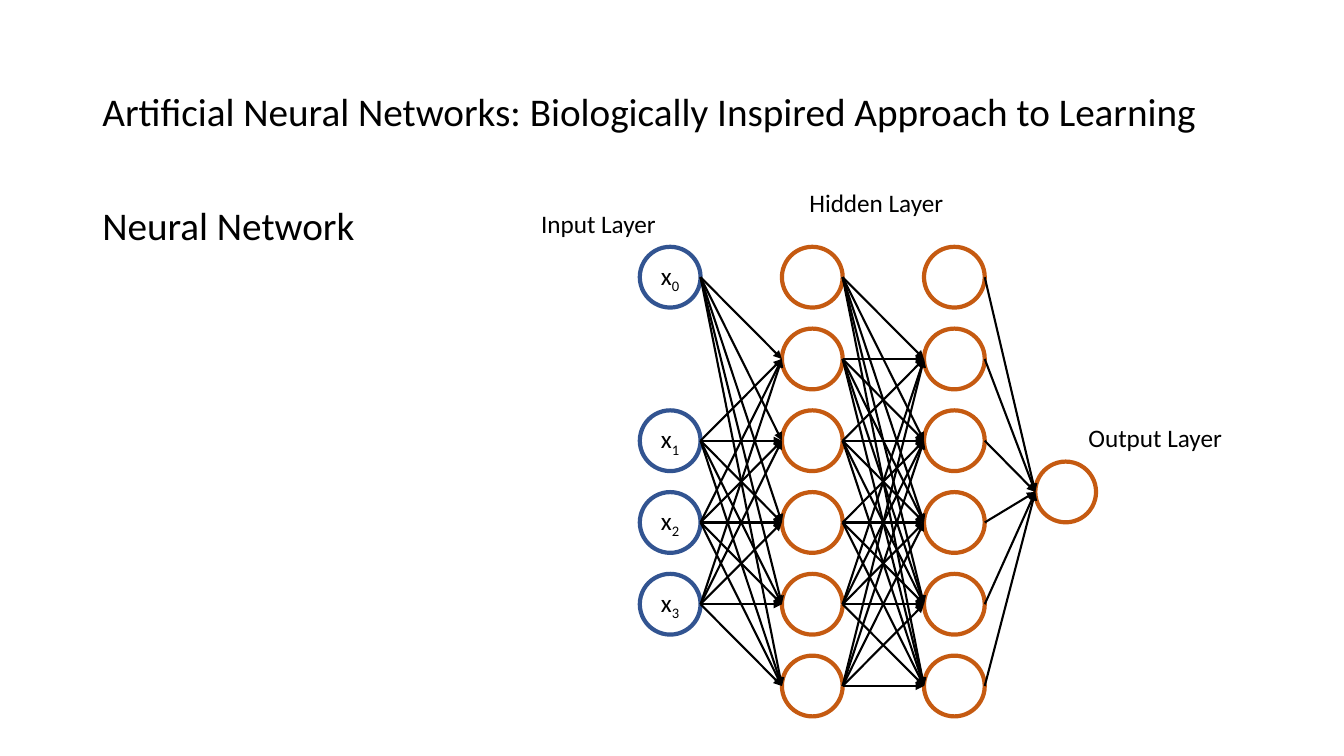
from lxml import etree
from pptx import Presentation
from pptx.dml.color import RGBColor
from pptx.enum.shapes import MSO_CONNECTOR, MSO_SHAPE
from pptx.enum.text import MSO_ANCHOR, MSO_AUTO_SIZE, PP_ALIGN
from pptx.oxml.ns import qn
from pptx.util import Pt

OVAL = MSO_SHAPE.OVAL
LINE = MSO_CONNECTOR.STRAIGHT
MIDDLE = MSO_ANCHOR.MIDDLE
LEFT, CENTER = PP_ALIGN.LEFT, PP_ALIGN.CENTER
NO_FIT = MSO_AUTO_SIZE.NONE

COLORS = {"text": "000000", "input": "325491", "neuron": "C55A11"}
FONT = "Calibri"
SIZE = 43.4
TOP, STEP = 198, 58.4
INPUT_X, FIRST_X, SECOND_X, OUTPUT_X = 457, 558.5, 660, 739.5
ROWS = [TOP + STEP * row for row in range(6)]
OUTPUT_Y = 351.4
INPUT_ROWS = (0, 2, 3, 4)


def color(name):
    return RGBColor.from_string(COLORS[name])


def style(para, size):
    for run in para.runs:
        run.font.name = FONT
        run.font.size = Pt(size)
        run.font.color.rgb = color("text")


def place(shape, left, top, width, height):
    shape.left, shape.top = Pt(left), Pt(top)
    shape.width, shape.height = Pt(width), Pt(height)


def add_title(slide, text):
    title = slide.shapes.title
    place(title, 66, 28.8, 828, 104.4)
    frame = title.text_frame
    frame.text = text
    frame.auto_size = NO_FIT
    frame.vertical_anchor = MIDDLE
    para = frame.paragraphs[0]
    para.alignment = LEFT
    para.line_spacing = 0.9
    style(para, 28)


def add_text(slide, text, box, size, wrap=False):
    frame = slide.shapes.add_textbox(*map(Pt, box)).text_frame
    frame.text = text
    frame.word_wrap = wrap
    style(frame.paragraphs[0], size)
    return frame.paragraphs[0]


def add_node(slide, left, mid, tint, index=None):
    """Draw a ring centred on height mid, with x and a subscript if indexed."""
    node = slide.shapes.add_shape(
        OVAL, Pt(left), Pt(mid - SIZE / 2), Pt(SIZE), Pt(SIZE))
    node.shadow.inherit = False
    node.fill.background()
    node.line.color.rgb = color(tint)
    node.line.width = Pt(3)
    if index is None:
        return
    frame = node.text_frame
    frame.word_wrap = False
    frame.vertical_anchor = MIDDLE
    para = frame.paragraphs[0]
    para.alignment = CENTER
    para.add_run().text = "x"
    sub = para.add_run()
    sub.text = str(index)
    style(para, 18)
    sub.font._element.set("baseline", "-25000")


def add_arrow(slide, left, start, right, end):
    """Join the right side of one node to the left side of another."""
    arrow = slide.shapes.add_connector(
        LINE, Pt(left + SIZE), Pt(start), Pt(right), Pt(end))
    arrow.line.color.rgb = color("text")
    arrow.line.width = Pt(1.5)
    tail = etree.SubElement(arrow.line._get_or_add_ln(), qn("a:tailEnd"))
    tail.set("type", "triangle")
    etree.SubElement(arrow._element.spPr, qn("a:effectLst"))


def add_nodes(slide):
    for index, row in enumerate(INPUT_ROWS):
        add_node(slide, INPUT_X, ROWS[row], "input", index)
    for left in (FIRST_X, SECOND_X):
        for mid in ROWS:
            add_node(slide, left, mid, "neuron")
    add_node(slide, OUTPUT_X, OUTPUT_Y, "neuron")


def add_links(slide):
    """Link the layers; the top node of a hidden layer takes no input."""
    for end in ROWS[1:]:
        for row in INPUT_ROWS:
            add_arrow(slide, INPUT_X, ROWS[row], FIRST_X, end)
        for row, start in enumerate(ROWS):
            if (row, end) != (3, ROWS[1]):
                add_arrow(slide, FIRST_X, start, SECOND_X, end)
    for start in ROWS:
        add_arrow(slide, SECOND_X, start, OUTPUT_X, OUTPUT_Y)


def main():
    deck = Presentation()
    deck.slide_width, deck.slide_height = Pt(960), Pt(540)
    slide = deck.slides.add_slide(deck.slide_layouts[5])
    add_title(slide, "Artificial Neural Networks: "
                     "Biologically Inspired Approach to Learning")
    body = add_text(slide, "Neural Network", (66, 144, 828, 342.7), 28, True)
    body.line_spacing = 0.9
    add_text(slide, "Input Layer", (379.4, 145.4, 97.2, 29), 18)
    add_text(slide, "Hidden Layer", (571, 130, 111.6, 29), 18)
    add_text(slide, "Output Layer", (770.4, 298, 110.9, 29), 18)
    add_nodes(slide)
    add_links(slide)
    deck.save("out.pptx")


if __name__ == "__main__":
    main()
